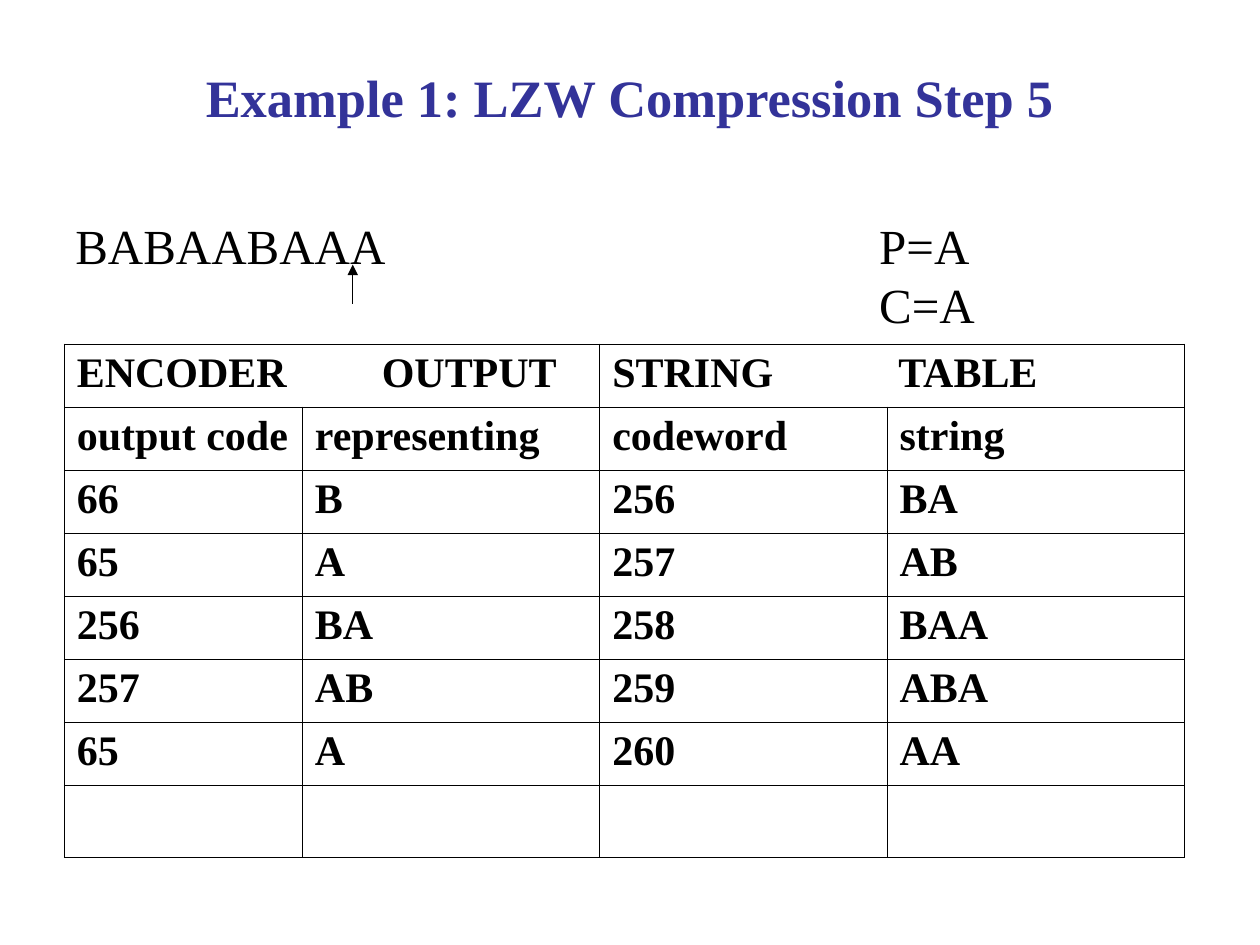
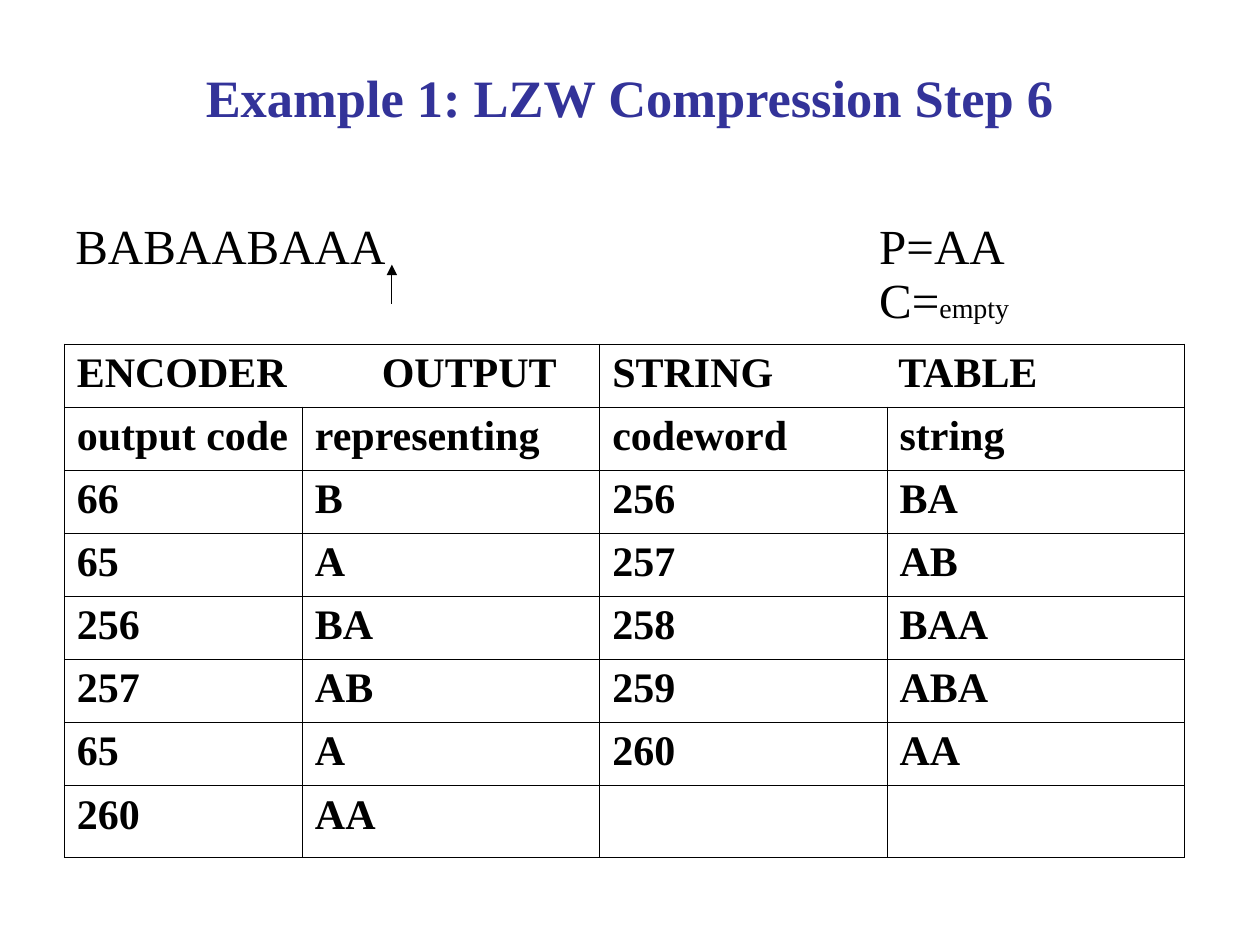
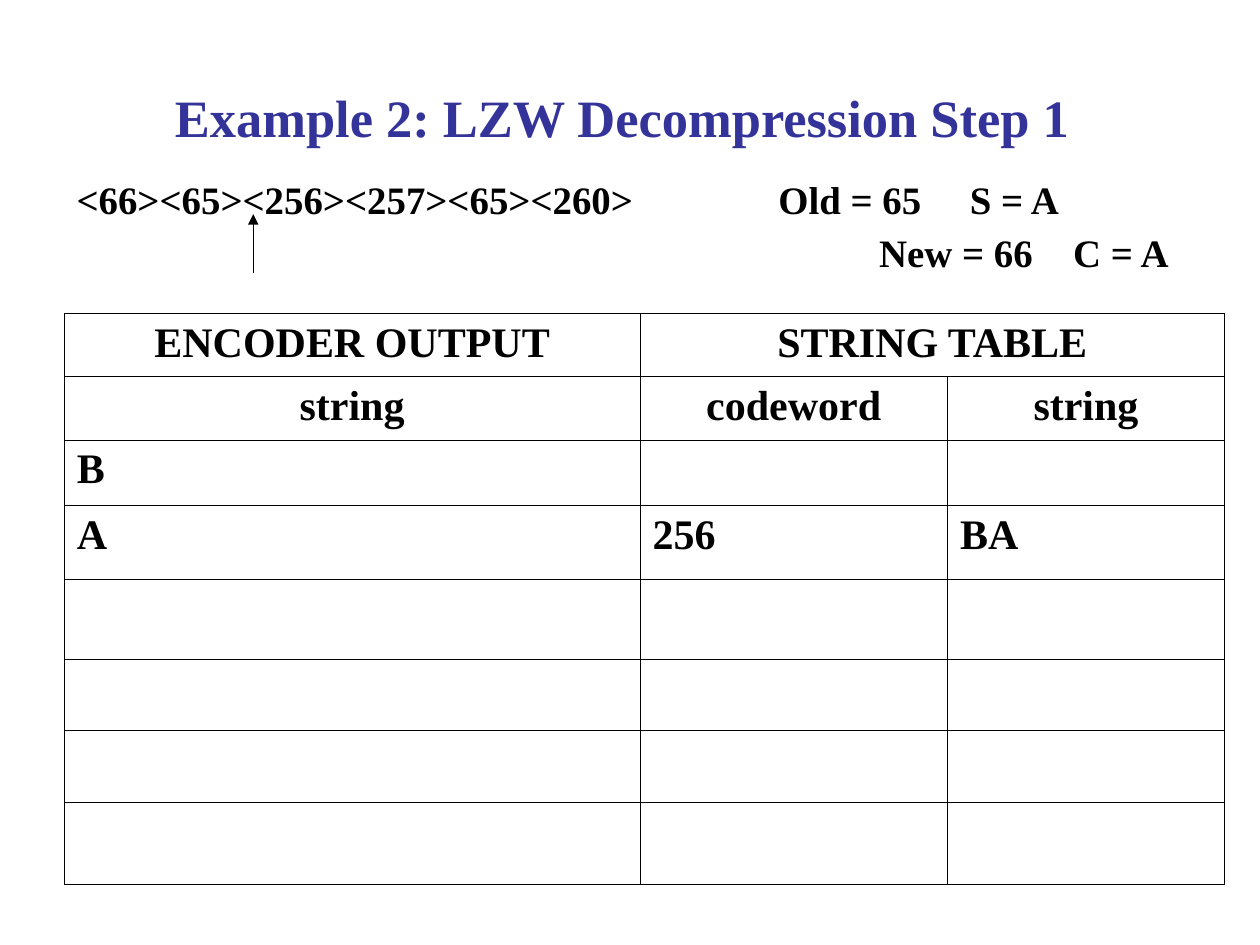
from dataclasses import dataclass

from lxml import etree
from pptx import Presentation
from pptx import util as u
from pptx.dml.color import RGBColor
from pptx.enum import shapes, text
from pptx.oxml.ns import qn


@dataclass(frozen=True)
class Theme:
    font: str = "Times New Roman"
    ink: RGBColor = RGBColor(0x00, 0x00, 0x00)
    heading: RGBColor = RGBColor(0x33, 0x33, 0x99)
    title_size: float = 30
    state_size: float = 28
    note_size: float = 16
    codes_size: float = 22.2
    table_size: float = 24
    border: float = 0.45
    arrow: float = 0.75


THEME = Theme()
LEFT = 0.51
BOX_WIDTH = 9

# Content: a state line is (runs, tab stops, space before); a run is (text, size)
ENCODED = [
    ("66", "B", "256", "BA"),
    ("65", "A", "257", "AB"),
    ("256", "BA", "258", "BAA"),
    ("257", "AB", "259", "ABA"),
    ("65", "A", "260", "AA"),
]
COMPRESSION_HEAD = [
    ("ENCODER\tOUTPUT", None, "STRING\tTABLE", None),
    ("output code", "representing", "codeword", "string"),
]
VARIABLE_STOP = (6.38,)


def compression_step(number, p_value, c_runs, c_gap, last_row, arrow_x):
    """One compression slide; only the state and the last row change."""
    size = THEME.state_size
    return {
        "title": f"Example 1: LZW Compression Step {number}",
        "title_box": (0.5, 0.3, BOX_WIDTH, 0.93),
        "state_box": (0.5, 1.75, BOX_WIDTH, 0.98),
        "state": [
            ([(f"BABAABAAA\tP={p_value}", size)], VARIABLE_STOP, 0),
            ([("\tC=", size), *c_runs], VARIABLE_STOP, c_gap),
        ],
        "bold": False,
        "line_spacing": 0.8,
        "arrow": (arrow_x, 2.41, 2.1),
        "table_top": 2.73,
        "columns": (1.89, 2.36, 2.28, 2.36),
        "heights": (0.5,) * 7 + (0.57,),
        "rows": COMPRESSION_HEAD + ENCODED + [last_row],
        "centred_rows": 0,
        "head_stops": {0: 2.42, 2: 2.27},
    }


DECOMPRESSION = {
    "title": "Example 2: LZW Decompression Step 1",
    "title_box": (0.44, 0.3, BOX_WIDTH, 1.25),
    "state_box": (LEFT, 1.39, BOX_WIDTH, 1.29),
    "state": [
        ([("<66><65><256><257><65><260>\tOld = 65\tS = A", THEME.codes_size)],
         (5.57, 7.09), 0),
        ([("\tNew = 66\tC = A", THEME.codes_size)], (6.37, 7.91), 6),
    ],
    "bold": True,
    "line_spacing": 0.9,
    "arrow": (2.01, 2.17, 1.7),
    "table_top": 2.49,
    "columns": (4.57, 2.44, 2.2),
    "heights": (0.5, 0.5, 0.52, 0.59, 0.63, 0.57, 0.57, 0.65),
    "rows": [
        ("ENCODER OUTPUT", "STRING TABLE", None),
        ("string", "codeword", "string"),
        ("B", "", ""),
        ("A", "256", "BA"),
    ] + [("", "", "")] * 4,
    "centred_rows": 2,
    "head_stops": {},
}

STEPS = [
    compression_step(5, "A", [("A", THEME.state_size)], 7, ("",) * 4, 2.8),
    compression_step(6, "AA", [("empty", THEME.note_size)], 4,
                     ("260", "AA", "", ""), 3.11),
    DECOMPRESSION,
]


# Text helpers
def add_run(paragraph, words, size, bold, color=THEME.ink):
    run = paragraph.add_run()
    run.text = words
    run.font.name = THEME.font
    run.font.size = u.Pt(size)
    run.font.bold = bold
    run.font.color.rgb = color


def set_tabs(paragraph, stops):
    tabs = etree.SubElement(paragraph._p.get_or_add_pPr(), qn("a:tabLst"))
    for stop in stops:
        etree.SubElement(tabs, qn("a:tab"), pos=str(u.Inches(stop)), algn="l")


def add_box(slide, box):
    frame = slide.shapes.add_textbox(*map(u.Inches, box)).text_frame
    frame.word_wrap = True
    return frame


# Slide parts
def add_title(slide, step):
    frame = add_box(slide, step["title_box"])
    frame.vertical_anchor = text.MSO_ANCHOR.MIDDLE
    heading = frame.paragraphs[0]
    heading.alignment = text.PP_ALIGN.CENTER
    add_run(heading, step["title"], THEME.title_size, True, THEME.heading)


def add_state(slide, step):
    frame = add_box(slide, step["state_box"])
    for index, (runs, stops, gap) in enumerate(step["state"]):
        line = frame.add_paragraph() if index else frame.paragraphs[0]
        set_tabs(line, stops)
        line.line_spacing = step["line_spacing"]
        line.space_before = u.Pt(gap)
        for words, size in runs:
            add_run(line, words, size, step["bold"])


def style_cell(cell):
    properties = cell._tc.get_or_add_tcPr()
    for side in ("lnL", "lnR", "lnT", "lnB"):
        edge = etree.SubElement(properties, qn(f"a:{side}"),
                                w=str(u.Pt(THEME.border)))
        fill = etree.SubElement(edge, qn("a:solidFill"))
        etree.SubElement(fill, qn("a:srgbClr"), val=str(THEME.ink))
    cell.fill.background()


def add_code_table(slide, step):
    rows, columns, heights = step["rows"], step["columns"], step["heights"]
    table = slide.shapes.add_table(
        len(rows), len(columns), u.Inches(LEFT), u.Inches(step["table_top"]),
        u.Inches(sum(columns)), u.Inches(sum(heights))).table
    table.first_row = table.horz_banding = False
    for column, width in zip(table.columns, columns):
        column.width = u.Inches(width)
    for row, height in zip(table.rows, heights):
        row.height = u.Inches(height)
    for r, row in enumerate(rows):
        for c, words in enumerate(row):
            cell = table.cell(r, c)
            style_cell(cell)
            if words is None:
                table.cell(r, c - 1).merge(cell)
            elif words:
                entry = cell.text_frame.paragraphs[0]
                if r == 0 and c in step["head_stops"]:
                    set_tabs(entry, [step["head_stops"][c]])
                if r < step["centred_rows"]:
                    entry.alignment = text.PP_ALIGN.CENTER
                add_run(entry, words, THEME.table_size, True)


def add_pointer(slide, step):
    x, bottom, top = map(u.Inches, step["arrow"])
    pointer = slide.shapes.add_connector(
        shapes.MSO_CONNECTOR.STRAIGHT, x, bottom, x, top)
    pointer.line.color.rgb = THEME.ink
    pointer.line.width = u.Pt(THEME.arrow)
    etree.SubElement(pointer.line._get_or_add_ln(), qn("a:tailEnd"),
                     type="triangle")
    etree.SubElement(pointer._element.spPr, qn("a:effectLst"))


def main():
    deck = Presentation()
    deck.slide_width, deck.slide_height = u.Inches(10), u.Inches(7.5)
    for step in STEPS:
        slide = deck.slides.add_slide(deck.slide_layouts[6])
        for add_part in (add_title, add_state, add_code_table, add_pointer):
            add_part(slide, step)
    deck.save("out.pptx")


if __name__ == "__main__":
    main()
